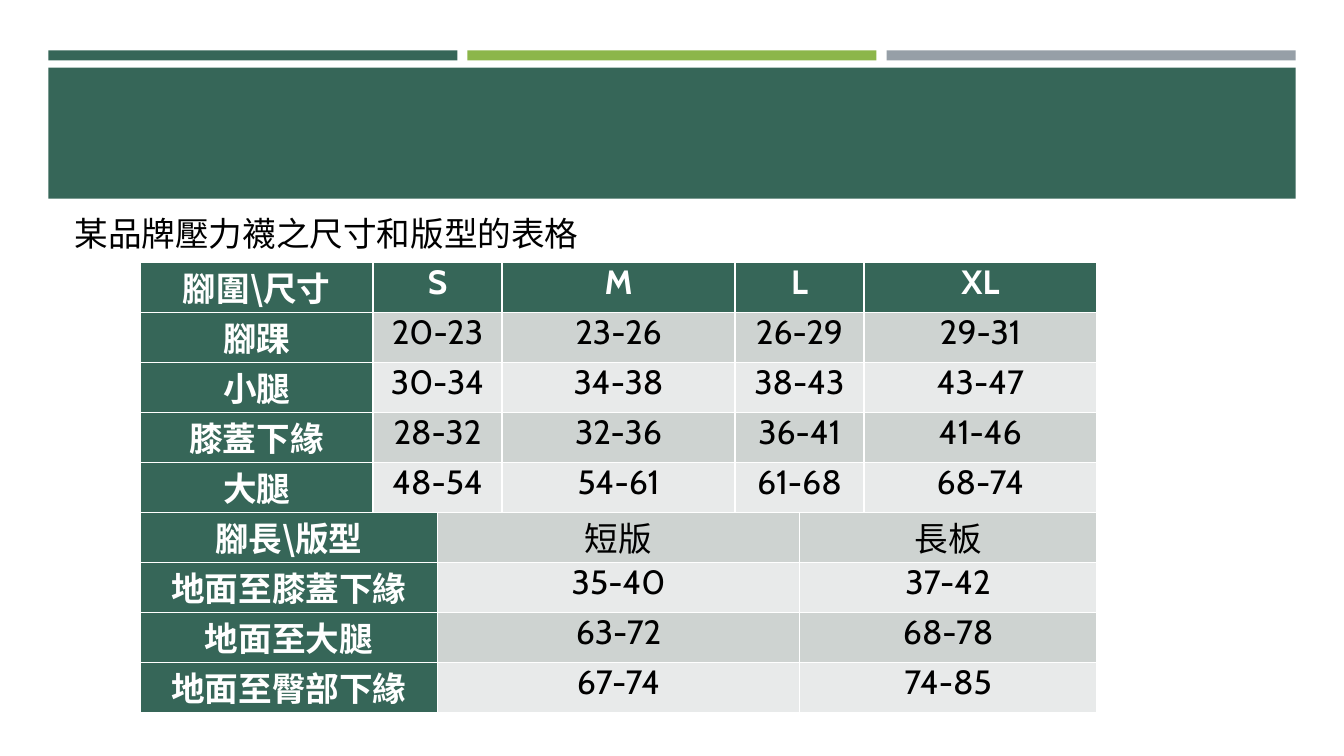
from pptx import Presentation
from pptx.dml.color import RGBColor
from pptx.enum.shapes import MSO_SHAPE
from pptx.enum.text import PP_ALIGN
from pptx.oxml.ns import qn
from pptx.util import Inches, Pt
from lxml import etree

RECT = MSO_SHAPE.RECTANGLE
CENTER = PP_ALIGN.CENTER
HAN, LATIN = "Noto Sans CJK SC", "Cabin"
COLORS = {"green": "366658", "lime": "8CB64A", "gray": "969FA7",
          "dark": "CED3D1", "light": "E8EAEA",
          "white": "FFFFFF", "black": "000000"}

WIDTHS = [2.31, 0.64, 0.64, 2.31, 0.64, 0.64, 2.31]
GIRTH_SPANS = [1, 2, 1, 2, 1]
LENGTH_SPANS = [2, 3, 2]
GIRTHS = [
    ["腳圍\\尺寸", "S", "M", "L", "XL"],
    ["腳踝", "20-23", "23-26", "26-29", "29-31"],
    ["小腿", "30-34", "34-38", "38-43", "43-47"],
    ["膝蓋下緣", "28-32", "32-36", "36-41", "41-46"],
    ["大腿", "48-54", "54-61", "61-68", "68-74"],
]
LENGTHS = [
    ["腳長\\版型", "短版", "長板"],
    ["地面至膝蓋下緣", "35-40", "37-42"],
    ["地面至大腿", "63-72", "68-78"],
    ["地面至臀部下緣", "67-74", "74-85"],
]


def rgb(name):
    return RGBColor.from_string(COLORS[name])


def write(para, text, color, bold=False):
    """Fill a paragraph, with the Latin font for plain ASCII text."""
    para.text = text
    face = LATIN if text.isascii() else HAN
    font = para.font
    font.size, font.bold, font.name = Pt(24), bold, face
    font.color.rgb = rgb(color)
    props = para._p.pPr.find(qn("a:defRPr"))
    east = etree.Element(qn("a:ea"), typeface=face)
    props.find(qn("a:latin")).addnext(east)


def add_bar(slide, color, left, top, width, height):
    bar = slide.shapes.add_shape(RECT, Inches(left), Inches(top),
                                 Inches(width), Inches(height))
    bar.shadow.inherit = False
    bar.fill.solid()
    bar.fill.fore_color.rgb = rgb(color)
    bar.line.fill.background()


def add_banner(slide, left, top, width, height):
    """Three thin bars over one wide block."""
    gap, thin, space = 0.1, 0.1, 0.07
    third = (width - 2 * gap) / 3
    for i, color in enumerate(["green", "lime", "gray"]):
        add_bar(slide, color, left + i * (third + gap), top, third, thin)
    add_bar(slide, "green", left, top + thin + space,
            width, height - thin - space)


def add_caption(slide, text, left, top, width, height):
    box = slide.shapes.add_textbox(Inches(left), Inches(top),
                                   Inches(width), Inches(height))
    box.text_frame.word_wrap = True
    write(box.text_frame.paragraphs[0], text, "black")


def fill_cell(cell, text, fill, color, bold):
    cell.margin_left = cell.margin_right = Inches(0.07)
    cell.margin_top = cell.margin_bottom = 0
    cell.fill.solid()
    cell.fill.fore_color.rgb = rgb(fill)
    para = cell.text_frame.paragraphs[0]
    para.alignment = CENTER
    write(para, text, color, bold)


def add_sizes(slide, left, top, width, height):
    rows = ([(row, GIRTH_SPANS) for row in GIRTHS]
            + [(row, LENGTH_SPANS) for row in LENGTHS])
    table = slide.shapes.add_table(len(rows), len(WIDTHS), Inches(left),
                                   Inches(top), Inches(width),
                                   Inches(height)).table
    table.first_col = True
    for col, size in zip(table.columns, WIDTHS):
        col.width = Inches(size)
    for r, (row, spans) in enumerate(rows):
        c = 0
        for text, span in zip(row, spans):
            cell = table.cell(r, c)
            if span > 1:
                cell.merge(table.cell(r, c + span - 1))
            head = r == 0 or c == 0
            band = "dark" if r % 2 else "light"
            fill_cell(cell, text, "green" if head else band,
                      "white" if head else "black", head)
            c += span


def main():
    deck = Presentation()
    deck.slide_width, deck.slide_height = Inches(13.33), Inches(7.5)
    slide = deck.slides.add_slide(deck.slide_layouts[6])
    add_banner(slide, 0.48, 0.5, 12.37, 1.47)
    add_caption(slide, "某品牌壓力襪之尺寸和版型的表格", 0.64, 2.06, 12.06, 0.5)
    add_sizes(slide, 1.39, 2.6, sum(WIDTHS), 4.47)
    deck.save("out.pptx")


if __name__ == "__main__":
    main()
